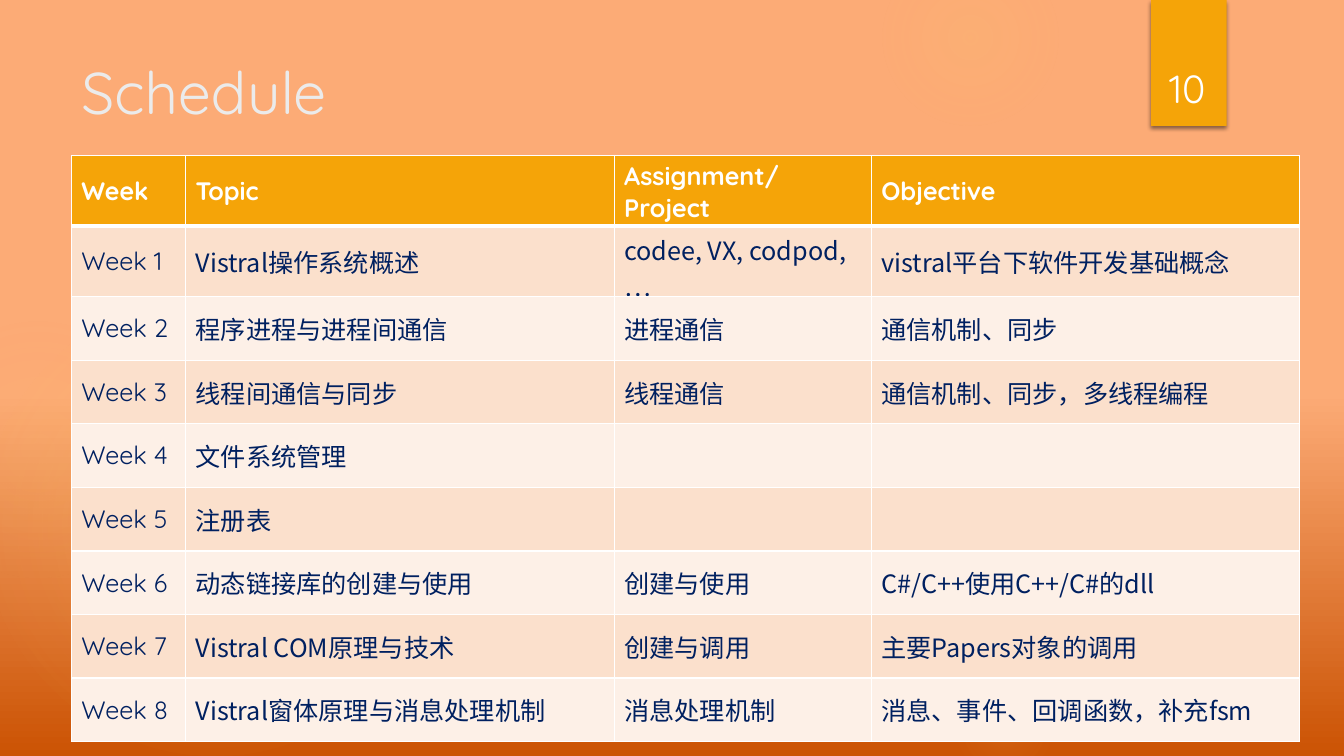
import pptx
import pptx.dml.color
import pptx.enum.shapes
import pptx.enum.text
import pptx.oxml
import pptx.oxml.ns
import pptx.util

RGB = pptx.dml.color.RGBColor
ANCHOR = pptx.enum.text.MSO_ANCHOR
SHAPE = pptx.enum.shapes.MSO_SHAPE
NS = pptx.oxml.ns.nsdecls("a")
WHITE = RGB(0xFF, 0xFF, 0xFF)
PALE = RGB(0xEB, 0xEB, 0xEB)
GOLD = RGB(0xF5, 0xA4, 0x08)
NAVY = RGB(0x00, 0x20, 0x60)
BANDS = [RGB(0xFD, 0xF0, 0xE7), RGB(0xFB, 0xE0, 0xCC)]
RUST = RGB(0xCB, 0x53, 0x04)
PEACH = RGB(0xFC, 0xAB, 0x76)
GLOW = RGB(0xFA, 0xC9, 0x6A)
ROSE = RGB(0xF5, 0x9B, 0x74)
LATIN, HAN = "Quicksand", "Noto Sans CJK SC"

deck = pptx.Presentation()
deck.slide_width = pptx.util.Inches(13.33)
deck.slide_height = pptx.util.Inches(7.5)
slide = deck.slides.add_slide(deck.slide_layouts[6])
UNIT = deck.slide_height / 90  # grid of 160 columns by 90 rows


def grid(*counts):
    return [round(count * UNIT) for count in counts]


def blend(item, stops, course):
    """Fill with a gradient of (percent, colour, opacity percent) stops."""
    item.fill.gradient()
    grad = next(item.element.iter(pptx.oxml.ns.qn("a:gradFill")))
    for child in list(grad):
        grad.remove(child)
    marks = "".join(
        f'<a:gs pos="{pos * 1000}"><a:srgbClr val="{color}">'
        f'<a:alpha val="{alpha * 1000}"/></a:srgbClr></a:gs>'
        for pos, color, alpha in stops)
    grad.append(pptx.oxml.parse_xml(f"<a:gsLst {NS}>{marks}</a:gsLst>"))
    grad.append(pptx.oxml.parse_xml(course))


# Background
blend(slide.background, [(0, RUST, 100), (48, PEACH, 100), (100, PEACH, 100)],
      f'<a:lin {NS} ang="16200000" scaled="0"/>')

# Soft glows: left, top, size, then the three stops
ROUND = (f'<a:path {NS} path="circle"><a:fillToRect l="50000" t="50000" '
         'r="50000" b="50000"/></a:path>')
glows = [
    (-2, 35, 55, [(0, GLOW, 11), (36, GLOW, 10), (75, GLOW, 0)]),
    (-11, 38, 31, [(0, GLOW, 8), (36, GLOW, 5), (71, ROSE, 0)]),
    (113, 22, 37, [(0, GLOW, 7), (36, GLOW, 6), (69, GLOW, 0)]),
    (105, -6, 21, [(0, GLOW, 14), (36, GLOW, 7), (73, GLOW, 0)]),
    (113, 80, 13, [(0, GLOW, 10), (31, GLOW, 5), (66, GLOW, 0)]),
]
for left, top, size, stops in glows:
    glow = slide.shapes.add_shape(SHAPE.OVAL, *grid(left, top, size, size))
    glow.shadow.inherit = False
    glow.line.fill.background()
    blend(glow, stops, ROUND)

# Page tag with its drop shadow
tag = slide.shapes.add_shape(SHAPE.RECTANGLE, *grid(137, 0, 9, 15))
tag.shadow.inherit = False
tag.fill.solid()
tag.fill.fore_color.rgb = GOLD
tag.line.fill.background()
tag.element.spPr.find(pptx.oxml.ns.qn("a:effectLst")).append(
    pptx.oxml.parse_xml(
        f'<a:outerShdw {NS} blurRad="38100" dist="25400" dir="5400000" '
        'rotWithShape="0"><a:srgbClr val="000000"><a:alpha val="45000"/>'
        '</a:srgbClr></a:outerShdw>'))

# Title and page number
labels = [
    ("Schedule", (8.5, 6, 123.5, 18.4), 42, PALE, ANCHOR.TOP,
     pptx.enum.text.PP_ALIGN.LEFT),
    ("10", (135.8, 3.8, 11, 10), 28, WHITE, ANCHOR.BOTTOM,
     pptx.enum.text.PP_ALIGN.CENTER),
]
for text, place, size, color, anchor, align in labels:
    frame = slide.shapes.add_textbox(*grid(*place)).text_frame
    frame.word_wrap = True
    frame.vertical_anchor = anchor
    para = frame.paragraphs[0]
    para.text = text
    para.alignment = align
    para.font.name = LATIN
    para.font.size = pptx.util.Pt(size)
    para.font.color.rgb = color

# Schedule table
rows = [
    ("Week", "Topic", "Assignment/Project", "Objective"),
    ("Week 1", "Vistral操作系统概述", "codee, VX, codpod, …",
     "vistral平台下软件开发基础概念"),
    ("Week 2", "程序进程与进程间通信", "进程通信", "通信机制、同步"),
    ("Week 3", "线程间通信与同步", "线程通信", "通信机制、同步，多线程编程"),
    ("Week 4", "文件系统管理", "", ""),
    ("Week 5", "注册表", "", ""),
    ("Week 6", "动态链接库的创建与使用", "创建与使用", "C#/C++使用C++/C#的dll"),
    ("Week 7", "Vistral COM原理与技术", "创建与调用", "主要Papers对象的调用"),
    ("Week 8", "Vistral窗体原理与消息处理机制", "消息处理机制",
     "消息、事件、回调函数，补充fsm"),
]
widths = grid(13.6, 51, 30.6, 51)
height = grid(7.57)[0]
table = slide.shapes.add_table(
    len(rows), len(widths), *grid(8.5, 18.5), sum(widths),
    height * len(rows)).table
for column, width in zip(table.columns, widths):
    column.width = width

for r, row in enumerate(rows):
    table.rows[r].height = height
    head = r == 0
    for c, text in enumerate(row):
        cell = table.cell(r, c)
        cell.vertical_anchor = ANCHOR.MIDDLE
        # White borders, thick under the header
        edges = {"L": 1, "R": 1, "T": 3 if r == 1 else 1, "B": 3 if head else 1}
        props = cell._tc.get_or_add_tcPr()
        for side, points in edges.items():
            props.append(pptx.oxml.parse_xml(
                f'<a:ln{side} {NS} w="{points * 12700}"><a:solidFill>'
                f'<a:srgbClr val="{WHITE}"/></a:solidFill></a:ln{side}>'))
        cell.fill.solid()
        cell.fill.fore_color.rgb = GOLD if head else BANDS[r % 2]
        # Text
        para = cell.text_frame.paragraphs[0]
        para.text = text
        font = para.font
        font.size = pptx.util.Pt(18)
        font.bold = head
        font.color.rgb = WHITE if head else NAVY
        font.name = LATIN if head or c == 0 else HAN
        for run in para.runs:
            run.font._element.append(
                pptx.oxml.parse_xml(f'<a:ea {NS} typeface="{HAN}"/>'))

deck.save("out.pptx")
